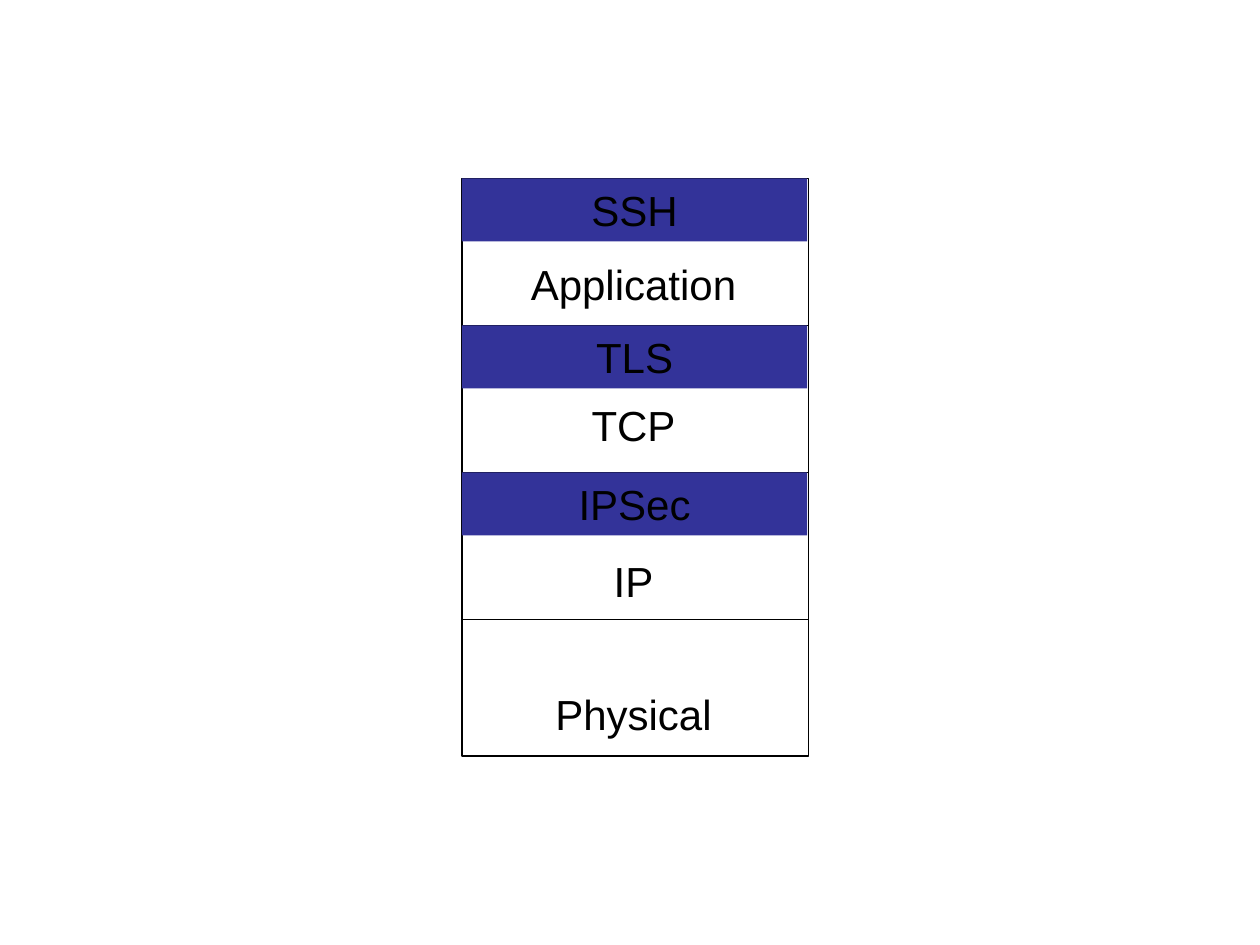
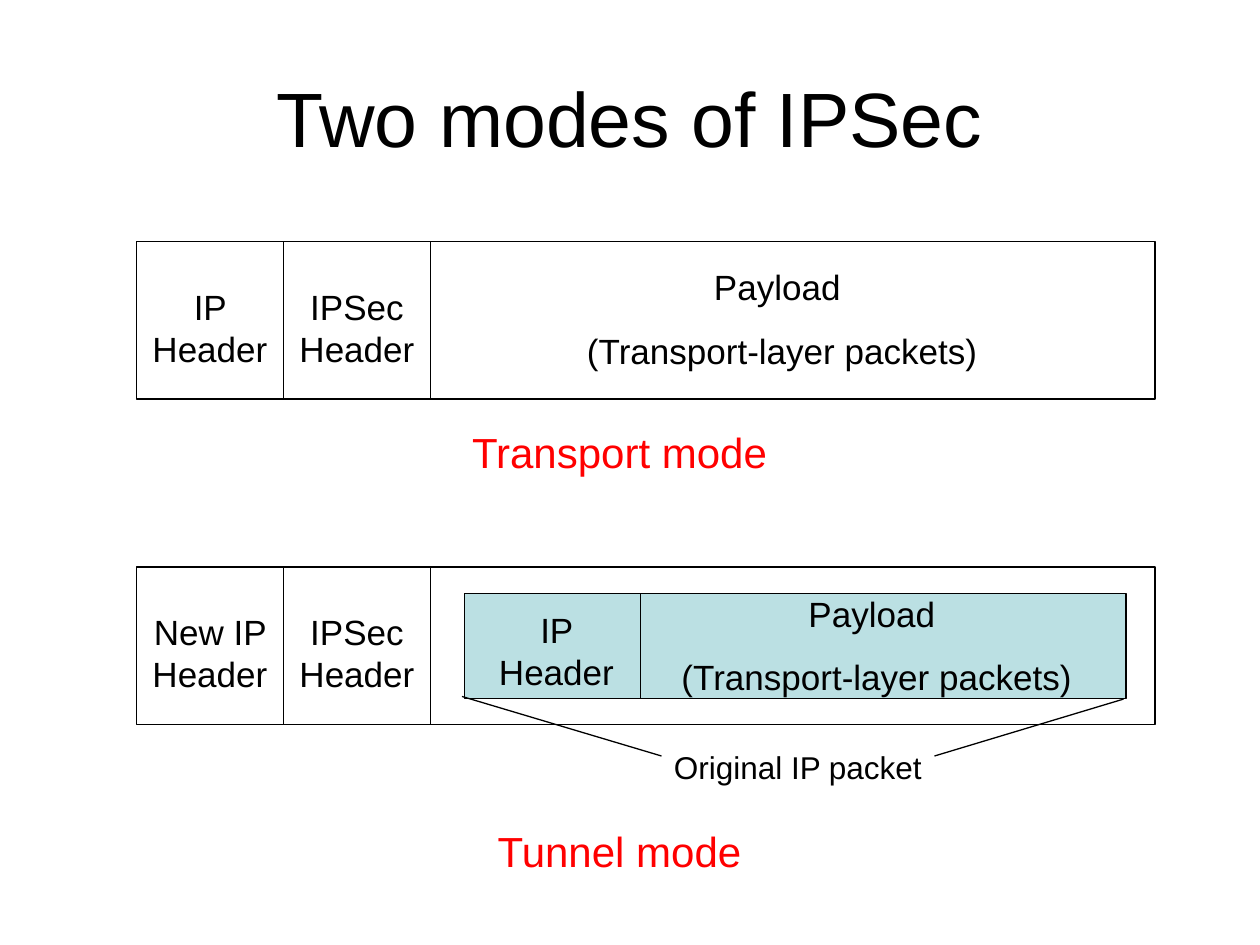
"""Build two slides on where IPSec sits in the protocol stack and its two modes."""
from lxml.etree import SubElement
from pptx import Presentation
from pptx.dml.color import RGBColor
from pptx.enum.shapes import MSO_CONNECTOR as CONNECTOR, MSO_SHAPE as SHAPE
from pptx.enum.text import MSO_ANCHOR as ANCHOR, PP_ALIGN as ALIGN
from pptx.oxml.ns import qn
from pptx.util import Pt

rgb = RGBColor.from_string
BLACK, RED, NAVY, TEAL = "000000", "FF0000", "333399", "BBE0E3"
FRAME_MARGINS = {"margin_left": Pt(7.2), "margin_right": Pt(7.2),
                 "margin_top": Pt(3.6), "margin_bottom": Pt(3.6),
                 "word_wrap": True, "vertical_anchor": ANCHOR.TOP}


def add_box(slide, at, lines=(), size=24, color=BLACK, fill=None, outline=None, align=ALIGN.CENTER):
    place = [Pt(value) for value in at]
    if fill or outline:
        box = slide.shapes.add_shape(SHAPE.RECTANGLE, *place)
        box.shadow.inherit = False
    else:
        box = slide.shapes.add_textbox(*place)
    if fill:
        box.fill.solid()
        box.fill.fore_color.rgb = rgb(fill)
    else:
        box.fill.background()
    if outline:
        box.line.color.rgb = rgb(outline)
        box.line.width = Pt(0.75)
    else:
        box.line.fill.background()
    frame = box.text_frame
    for name, value in FRAME_MARGINS.items():
        setattr(frame, name, value)
    for index, line in enumerate(lines):
        paragraph = frame.add_paragraph() if index else frame.paragraphs[0]
        paragraph.text = line
        paragraph.alignment = align
        if index:
            paragraph.space_before = Pt(size * 0.625)
        for name, value in {"name": "Arial", "size": Pt(size)}.items():
            setattr(paragraph.font, name, value)
        paragraph.font.color.rgb = rgb(color)


def add_line(slide, *ends):
    line = slide.shapes.add_connector(CONNECTOR.STRAIGHT, *[Pt(value) for value in ends])
    line.line.color.rgb = rgb(BLACK)
    line.line.width = Pt(0.75)
    SubElement(line._element.spPr, qn("a:effectLst"))


deck = Presentation()
deck.slide_width, deck.slide_height = Pt(720), Pt(540)

stack = deck.slides.add_slide(deck.slide_layouts[6])
stack_left, stack_top, stack_width, layer_step = 264, 102, 198, 84
add_box(stack, (stack_left, stack_top, stack_width, 330), outline=BLACK)
for layer in (1, 2, 3):
    divider = stack_top + layer * layer_step
    add_line(stack, stack_left, divider, stack_left + stack_width, divider)
for layer_name, layer_top in (("Physical", 390), ("IP", 314), ("TCP", 225), ("Application", 144)):
    add_box(stack, (278, layer_top, 168, 36), [layer_name])
for layer, protocol in enumerate(("SSH", "TLS", "IPSec")):
    band_top = stack_top + layer * layer_step
    add_box(stack, (stack_left, band_top, stack_width - 0.7, 36), [protocol], fill=NAVY)

modes = deck.slides.add_slide(deck.slide_layouts[5])
title = modes.shapes.title
title.left, title.top, title.width, title.height = Pt(36), Pt(21.6), Pt(648), Pt(90)
title.text_frame.text = "Two modes of IPSec"
title.text_frame.vertical_anchor = ANCHOR.MIDDLE
heading = title.text_frame.paragraphs[0]
heading.alignment = ALIGN.CENTER
for name, value in {"name": "Arial", "size": Pt(44)}.items():
    setattr(heading.font, name, value)
heading.font.color.rgb = rgb(BLACK)

packet_left, packet_height, header_width = 78, 90, 84
payload = ["Payload ", "(Transport-layer packets)"]
for packet_top, first_header, mode, mode_top in (
        (138, "IP Header", "Transport mode", 240),
        (324, "New IP Header", "Tunnel mode", 468)):
    add_box(modes, (packet_left, packet_top, 582, packet_height), outline=BLACK)
    for column, header in enumerate((first_header, "IPSec Header")):
        header_left = packet_left + column * header_width
        header_right = header_left + header_width
        add_box(modes, (header_left, packet_top + 21.5, header_width, 55.5), [header], 20)
        add_line(modes, header_right, packet_top, header_right, packet_top + packet_height)
    add_box(modes, (222, mode_top, 264, 36), [mode], color=RED)

add_box(modes, (300, 148.3, 294, 67.7), payload, 20)

inner_top, inner_height = 339, 60
add_box(modes, (265.5, inner_top, 378, inner_height), fill=TEAL, outline=BLACK)
add_box(modes, (276, 344, header_width, 55.5), ["IP Header"], 20)
add_box(modes, (354, 334.8, 294, 67.7), payload, 20)
add_line(modes, 366, inner_top, 366, inner_top + inner_height)
add_line(modes, 264, 398, 378, 432)
add_line(modes, 642, 399.5, 534, 432)
add_box(modes, (378, 424, 174, 29), ["Original IP packet"], 18, align=ALIGN.LEFT)

deck.save("out.pptx")
